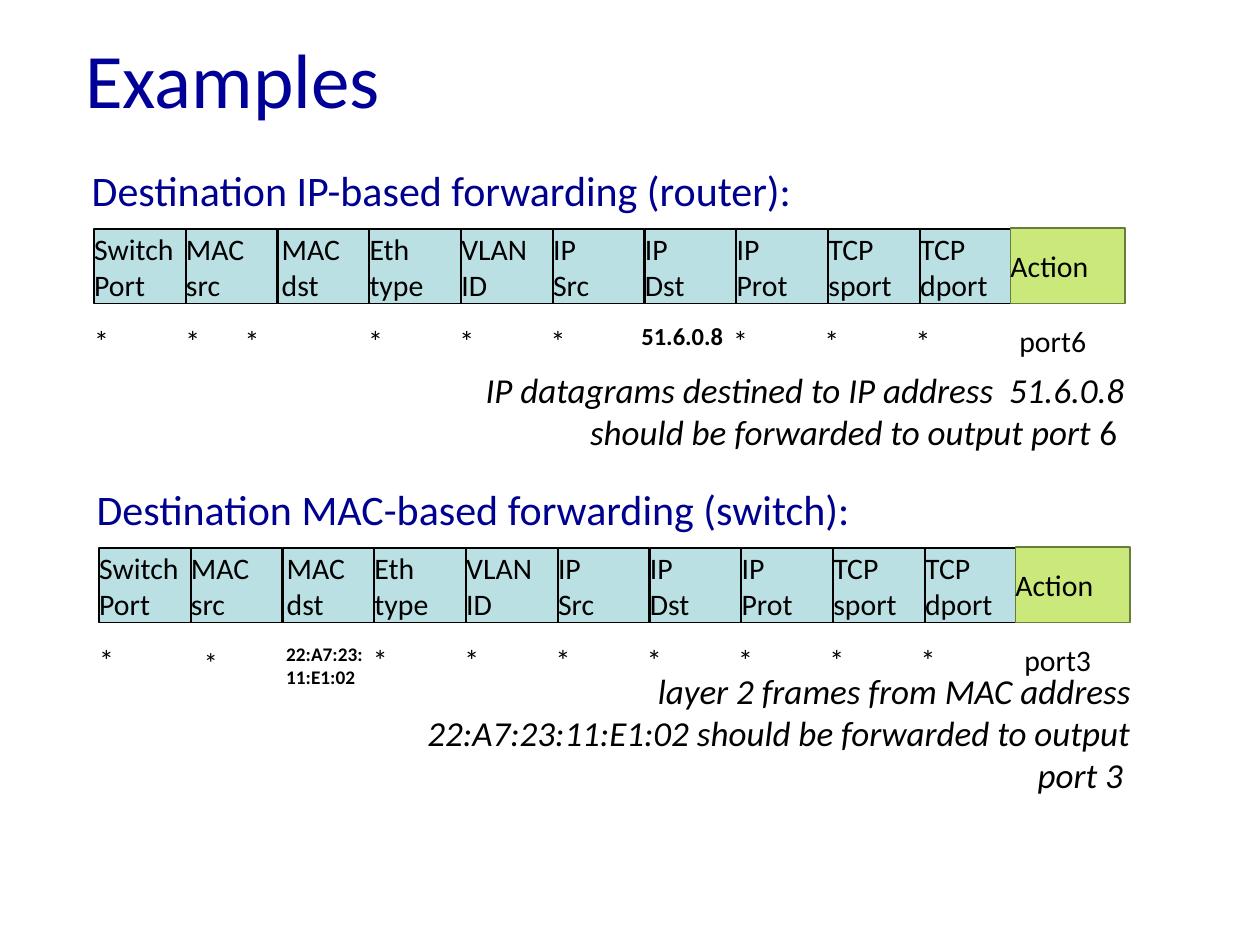
from dataclasses import dataclass

from pptx import Presentation
from pptx.dml.color import RGBColor
from pptx.enum import shapes, text
from pptx.util import Cm, Pt

COLORS = {
    "title": "000099",
    "heading": "000090",
    "ink": "000000",
    "field": "BBE0E3",
    "action": "CBE97B",
    "action_edge": "697D3A",
}
FIELDS = (
    "Switch\nPort", "MAC\nsrc", "MAC\ndst", "Eth\ntype", "VLAN\nID",
    "IP\nSrc", "IP\nDst", "IP\nProt", "TCP\nsport", "TCP\ndport",
)
FIELD_PITCH = 1.85
MATCH_PITCH = 1.84
TABLE_LEFT = 1.9
ACTION_LEFT = 20.37
PORT_LEFT = 20.55


@dataclass(frozen=True)
class Box:
    left: float
    top: float
    width: float
    height: float

    def lengths(self) -> tuple:
        return Cm(self.left), Cm(self.top), Cm(self.width), Cm(self.height)


@dataclass(frozen=True)
class Style:
    size: float = 17
    color: str = "ink"
    bold: bool = False
    italic: bool = False
    align: text.PP_ALIGN = text.PP_ALIGN.LEFT
    wrap: bool = True
    grow: bool = False
    inset_left: float = 0


@dataclass(frozen=True)
class Match:
    value: str
    left: float
    drop: float = 0
    width: float = 1.84
    height: float = 0.89
    style: Style = Style()


@dataclass(frozen=True)
class FlowTable:
    heading: str
    heading_width: float
    shift: float
    drop: float
    special: dict
    port: str
    summary: tuple
    summary_box: Box


def write(shape, runs: tuple, style: Style) -> None:
    frame = shape.text_frame
    layout = {
        "margin_left": Cm(style.inset_left),
        "margin_top": 0,
        "margin_right": 0,
        "margin_bottom": 0,
        "word_wrap": style.wrap,
        "vertical_anchor": text.MSO_ANCHOR.MIDDLE,
        "auto_size": text.MSO_AUTO_SIZE.SHAPE_TO_FIT_TEXT if style.grow else text.MSO_AUTO_SIZE.NONE,
    }
    for name, value in layout.items():
        setattr(frame, name, value)
    for number, line in enumerate(runs[0].split("\n")):
        paragraph = frame.paragraphs[0] if number == 0 else frame.add_paragraph()
        paragraph.alignment = style.align
        for position, words in enumerate((line, *runs[1:])):
            run = paragraph.add_run()
            run.text = words
            letters = {
                "name": "Calibri",
                "size": Pt(style.size),
                "bold": style.bold,
                "italic": style.italic and position == 0,
            }
            for name, value in letters.items():
                setattr(run.font, name, value)
            run.font.color.rgb = RGBColor.from_string(COLORS[style.color])


def add_text(slide, runs: tuple, box: Box, style: Style) -> None:
    write(slide.shapes.add_textbox(*box.lengths()), runs, style)


def add_cell(header, label: str, box: Box, fill: str, edge: str, style: Style) -> None:
    cell = header.shapes.add_shape(shapes.MSO_SHAPE.RECTANGLE, *box.lengths())
    cell.shadow.inherit = False
    cell.fill.solid()
    cell.fill.fore_color.rgb = RGBColor.from_string(COLORS[fill])
    cell.line.color.rgb = RGBColor.from_string(COLORS[edge])
    cell.line.width = Pt(1)
    write(cell, (label,), style)


def add_flow_table(slide, table: FlowTable) -> None:
    left = TABLE_LEFT + table.shift
    add_text(slide, (table.heading,),
             Box(left - 0.05, 3.32 + table.drop, table.heading_width, 1.02),
             Style(size=24, color="heading", wrap=False, grow=True))

    header = slide.shapes.add_group_shape()
    for column, label in enumerate(FIELDS):
        inset = 0.08 if label == "MAC\ndst" else 0
        add_cell(header, label,
                 Box(left + column * FIELD_PITCH, 4.62 + table.drop, 1.84, 1.5),
                 "field", "ink", Style(inset_left=inset))
    add_cell(header, "Action",
             Box(ACTION_LEFT + table.shift, 4.6 + table.drop, 2.31, 1.52),
             "action", "action_edge", Style())

    matches = [table.special.get(column, Match("*", TABLE_LEFT + column * MATCH_PITCH))
               for column in range(len(FIELDS))]
    matches.append(Match(table.port, PORT_LEFT))
    for match in matches:
        add_text(slide, (match.value,),
                 Box(match.left + table.shift, 6.43 + table.drop + match.drop,
                     match.width, match.height),
                 match.style)

    add_text(slide, table.summary, table.summary_box,
             Style(size=20, italic=True, align=text.PP_ALIGN.RIGHT, grow=True))


FLOW_TABLES = (
    FlowTable(
        "Destination IP-based forwarding (router):", 14.35, 0, 0,
        {
            2: Match("*", 4.93, width=3.15),
            6: Match("51.6.0.8", 12.93, drop=-0.1, style=Style(size=14, bold=True)),
        },
        "port6",
        ("IP datagrams destined to IP address  51.6.0.8 should be forwarded to output port ", "6 "),
        Box(8.46, 7.42, 14.22, 1.7),
    ),
    FlowTable(
        "Destination MAC-based forwarding (switch):", 15.47, 0.1, 6.43,
        {
            1: Match("*", 4.01, width=0.79, height=0.99, style=Style(size=16)),
            2: Match("22:A7:23:\n11:E1:02", 5.67, width=3.05, height=1.09,
                     style=Style(size=11, bold=True)),
        },
        "port3",
        ("layer 2 frames from MAC address 22:A7:23:11:E1:02 should be forwarded to output port 3 ",),
        Box(7.92, 13.92, 14.88, 1.7),
    ),
)


def main() -> None:
    deck = Presentation()
    deck.slide_width, deck.slide_height = Cm(25.4), Cm(19.05)
    slide = deck.slides.add_slide(deck.slide_layouts[6])
    add_text(slide, ("Examples",), Box(1.47, -0.03, 7.8, 3.18),
             Style(size=44, color="title", inset_left=0.25))
    for table in FLOW_TABLES:
        add_flow_table(slide, table)
    deck.save("out.pptx")


if __name__ == "__main__":
    main()
